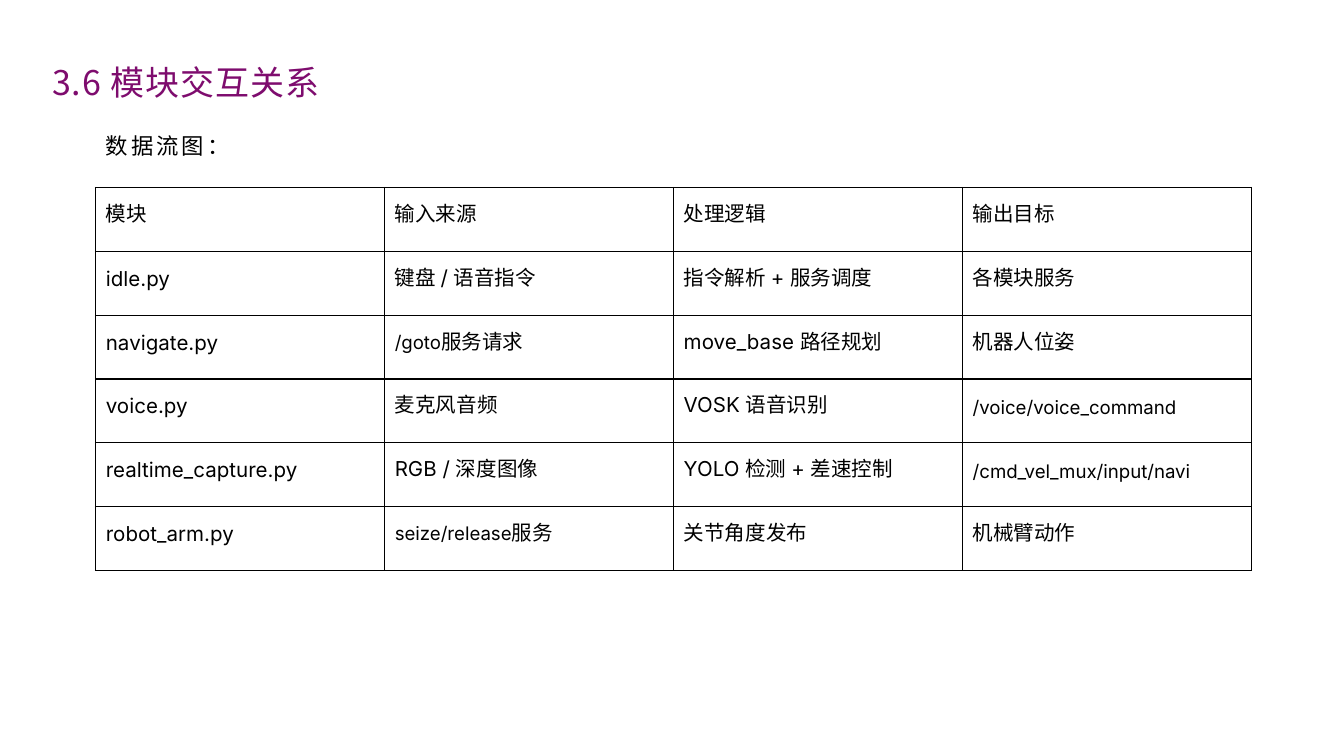
import pptx
import pptx.dml.color
import pptx.enum.lang
import pptx.enum.text
import pptx.oxml
import pptx.oxml.ns
import pptx.util
from lxml import etree

Pt = pptx.util.Pt
qn = pptx.oxml.ns.qn
PURPLE = pptx.dml.color.RGBColor(0x7E, 0x0C, 0x6E)
BLACK = pptx.dml.color.RGBColor(0, 0, 0)
CJK = "Noto Sans CJK JP"

# A tuple holds an interface name, set smaller, and the text after it.
MODULES = [
    ["模块", "输入来源", "处理逻辑", "输出目标"],
    ["idle.py", "键盘 / 语音指令", "指令解析 + 服务调度", "各模块服务"],
    ["navigate.py", ("/goto", "服务请求"), "move_base 路径规划", "机器人位姿"],
    ["voice.py", "麦克风音频", "VOSK 语音识别", ("/voice/voice_command",)],
    ["realtime_capture.py", "RGB / 深度图像", "YOLO 检测 + 差速控制",
     ("/cmd_vel_mux/input/navi",)],
    ["robot_arm.py", ("seize/release", "服务"), "关节角度发布", "机械臂动作"],
]


class Deck:
    body_size, code_size = 11, 10
    table_font = "Inter"
    border_width = 0.75

    def __init__(self, prs):
        self.s = prs.slides.add_slide(prs.slide_layouts[6])

    def style(self, p, size, font, color, spacing, track=0):
        p.line_spacing = spacing
        f = p.font
        f.size, f.name, f.color.rgb = Pt(size), font, color
        f.language_id = pptx.enum.lang.MSO_LANGUAGE_ID.SIMPLIFIED_CHINESE
        rpr = p._p.pPr.find(qn("a:defRPr"))
        etree.SubElement(rpr, qn("a:ea")).set("typeface", CJK)
        if track:
            rpr.set("spc", str(round(track * 100)))

    def text(self, text, x, y, w, h, size, font, color, spacing, track):
        tf = self.s.shapes.add_textbox(Pt(x), Pt(y), Pt(w), Pt(h)).text_frame
        tf.word_wrap = True
        tf.vertical_anchor = pptx.enum.text.MSO_ANCHOR.MIDDLE
        p = tf.paragraphs[0]
        p.add_run().text = text
        self.style(p, size, font, color, spacing, track)

    def border(self, cell):
        tc_pr = cell._tc.get_or_add_tcPr()
        for side in ("lnL", "lnR", "lnT", "lnB"):
            ln = etree.SubElement(tc_pr, qn("a:" + side))
            ln.set("w", str(Pt(self.border_width)))
            fill = etree.SubElement(ln, qn("a:solidFill"))
            etree.SubElement(fill, qn("a:srgbClr")).set("val", str(BLACK))

    def cell(self, cell, content):
        self.border(cell)
        cell.fill.background()
        cell.vertical_anchor = pptx.enum.text.MSO_ANCHOR.MIDDLE
        cell.margin_left = cell.margin_right = Pt(5.6)
        cell.margin_top = cell.margin_bottom = Pt(3.6)
        p = cell.text_frame.paragraphs[0]
        if isinstance(content, tuple):
            for text, size in zip(content, (self.code_size, self.body_size)):
                r = p.add_run()
                r.text, r.font.size = text, Pt(size)
        else:
            p.add_run().text = content
        self.style(p, self.body_size, self.table_font, BLACK, Pt(8.4))

    def table(self, rows, x, y, w, h):
        frame = self.s.shapes.add_table(
            len(rows), len(rows[0]), Pt(x), Pt(y), Pt(w), Pt(h))
        table = frame.table
        table.first_row = table.horz_banding = False
        for i, row in enumerate(rows):
            for j, content in enumerate(row):
                self.cell(table.cell(i, j), content)


def main():
    prs = pptx.Presentation()
    prs.slide_width, prs.slide_height = Pt(720), Pt(405)
    deck = Deck(prs)
    deck.text("3.6 模块交互关系", 20.9, 24.5, 582, 31,
              18.2, CJK, PURPLE, 1.35, 0.5)
    deck.text("数据流图：", 49.7, 62, 620.6, 24.5,
              12, "Noto Sans", BLACK, 1.5, 1.6)
    deck.table(MODULES, 51.1, 100.5, 619.2, 205.2)
    prs.save("out.pptx")


if __name__ == "__main__":
    main()
